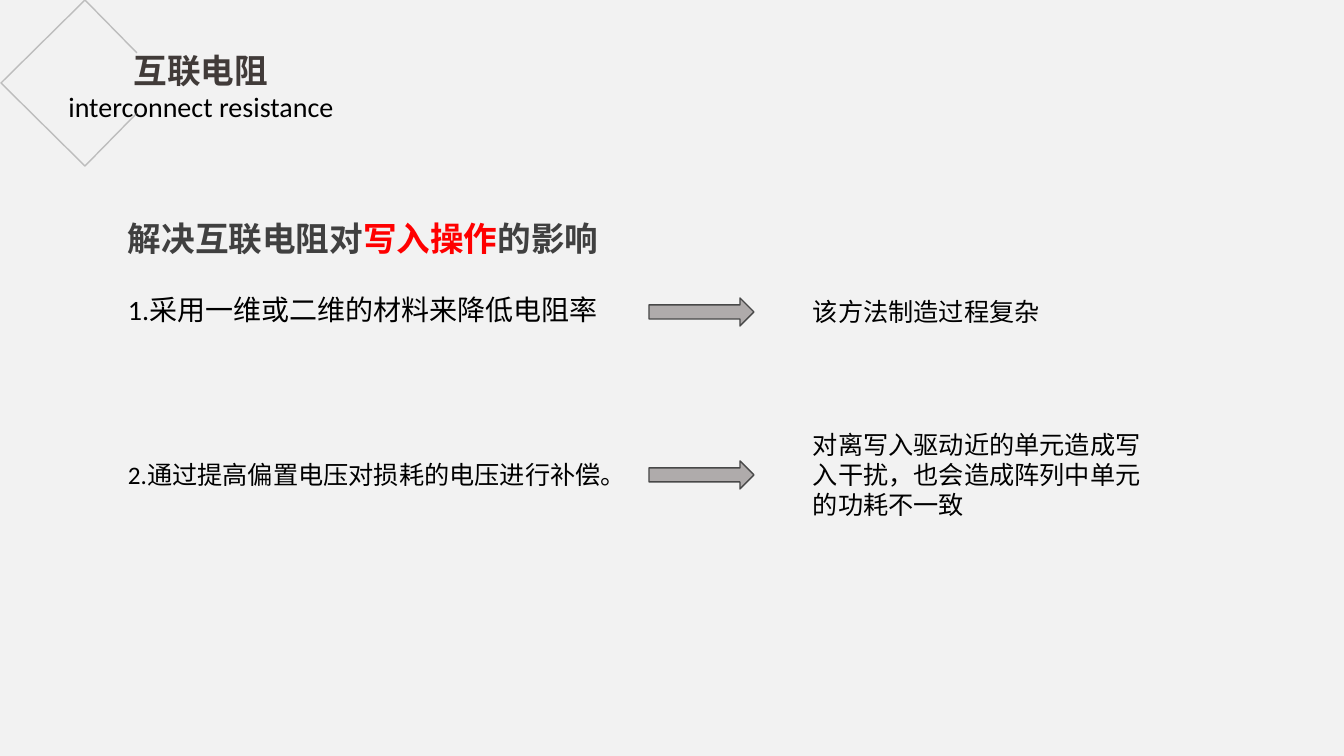
from lxml import etree
from pptx import Presentation
from pptx.dml.color import RGBColor
from pptx.enum.shapes import MSO_SHAPE
from pptx.enum.text import MSO_ANCHOR, MSO_AUTO_SIZE, PP_ALIGN
from pptx.oxml.ns import qn
from pptx.util import Pt

PX = 914400 / 100.8
TOP = MSO_ANCHOR.TOP
FIXED = MSO_AUTO_SIZE.NONE
LEFT, CENTER = PP_ALIGN.LEFT, PP_ALIGN.CENTER
RIGHT_ARROW = MSO_SHAPE.RIGHT_ARROW
TITLE_ONLY = 5

BODY_FONT = "Calibri"
HEAD_FONT = "Noto Sans CJK SC"
HEAD_SPACING = 0.84
COLORS = {
    "page": "F2F2F2",
    "text": "000000",
    "title": "413B39",
    "heading": "404040",
    "accent": "FF0000",
    "diamond": "808080",
    "arrow": "AFABAB",
    "arrow_line": "484848",
}


def color(name):
    return RGBColor.from_string(COLORS[name])


def px(*lengths):
    return [round(length * PX) for length in lengths]


def style_run(run, size, name, font, bold=False):
    run.font.size = Pt(size)
    run.font.name = font
    run.font.bold = bold
    run.font.color.rgb = color(name)
    east_asian = etree.Element(qn("a:ea"), typeface=font)
    run.font._element.find(qn("a:latin")).addnext(east_asian)


def style_paragraph(para, align, spacing=1.0):
    para.alignment = align
    para.line_spacing = spacing
    para.space_before = para.space_after = Pt(0)


def prepare_frame(frame, wrap=True):
    frame.word_wrap = wrap
    frame.auto_size = FIXED
    frame.vertical_anchor = TOP


def add_text(page, box, text, size, wrap=True):
    frame = page.shapes.add_textbox(*px(*box)).text_frame
    prepare_frame(frame, wrap)
    frame.text = text
    para = frame.paragraphs[0]
    style_paragraph(para, LEFT)
    style_run(para.runs[0], size, "text", BODY_FONT)


def add_diamond(page, box):
    left, top, width, height = box
    middle = left + 84
    right = left + width
    builder = page.shapes.build_freeform(right, top + 53, scale=PX)
    builder.add_line_segments(
        [
            (middle, top),
            (left, top + height // 2),
            (middle, top + height),
            (right, top + height - 53),
        ],
        close=False,
    )
    diamond = builder.convert_to_shape()
    diamond.shadow.inherit = False
    diamond.fill.background()
    diamond.line.color.rgb = color("diamond")
    diamond.line.width = Pt(1)
    tint = diamond.line._ln.find(".//" + qn("a:srgbClr"))
    etree.SubElement(tint, qn("a:alpha"), val="45000")


def add_title(page, box):
    title = page.shapes.title
    title.left, title.top, title.width, title.height = px(*box)
    frame = title.text_frame
    prepare_frame(frame)
    frame.text = "互联电阻\ninterconnect resistance"
    chinese, english = frame.paragraphs
    style_paragraph(chinese, CENTER, HEAD_SPACING)
    style_run(chinese.runs[0], 24, "title", HEAD_FONT, True)
    style_paragraph(english, CENTER)
    style_run(english.runs[0], 20, "text", BODY_FONT)


def add_heading(page, box):
    frame = page.shapes.add_textbox(*px(*box)).text_frame
    prepare_frame(frame, False)
    para = frame.paragraphs[0]
    style_paragraph(para, LEFT, HEAD_SPACING)
    for text, name in (
        ("解决互联电阻对", "heading"),
        ("写入操作", "accent"),
        ("的影响", "heading"),
    ):
        span = para.add_run()
        span.text = text
        style_run(span, 24, name, HEAD_FONT, True)


def add_method(page, box, method, size, method_top, drawback, drawback_top, wrap):
    left, top, width, height = box
    add_text(page, (left, top + method_top, 523, 44), method, size, wrap)
    arrow = page.shapes.add_shape(RIGHT_ARROW, *px(left + 531, top, 105, height))
    arrow.shadow.inherit = False
    arrow.fill.solid()
    arrow.fill.fore_color.rgb = color("arrow")
    arrow.line.color.rgb = color("arrow_line")
    arrow.line.width = Pt(1)
    drawback_box = (left + 685, top + drawback_top, width - 685, 40)
    add_text(page, drawback_box, drawback, 18)


def build_page(deck):
    page = deck.slides.add_slide(deck.slide_layouts[TITLE_ONLY])
    page.background.fill.solid()
    page.background.fill.fore_color.rgb = color("page")
    add_diamond(page, (1, 0, 136, 166))
    add_title(page, (37, 51, 328, 85))
    add_heading(page, (118, 219, 495, 50))
    add_method(
        page, (118, 298, 1054, 28),
        "1.采用一维或二维的材料来降低电阻率", 20, -10,
        "该方法制造过程复杂", -7, True,
    )
    add_method(
        page, (118, 461, 1054, 28),
        "2.通过提高偏置电压对损耗的电压进行补偿。", 18, -7,
        "对离写入驱动近的单元造成写入干扰，也会造成阵列中单元的功耗不一致", -37, False,
    )


def main():
    deck = Presentation()
    deck.slide_width, deck.slide_height = px(1344, 756)
    build_page(deck)
    deck.save("out.pptx")


if __name__ == "__main__":
    main()
